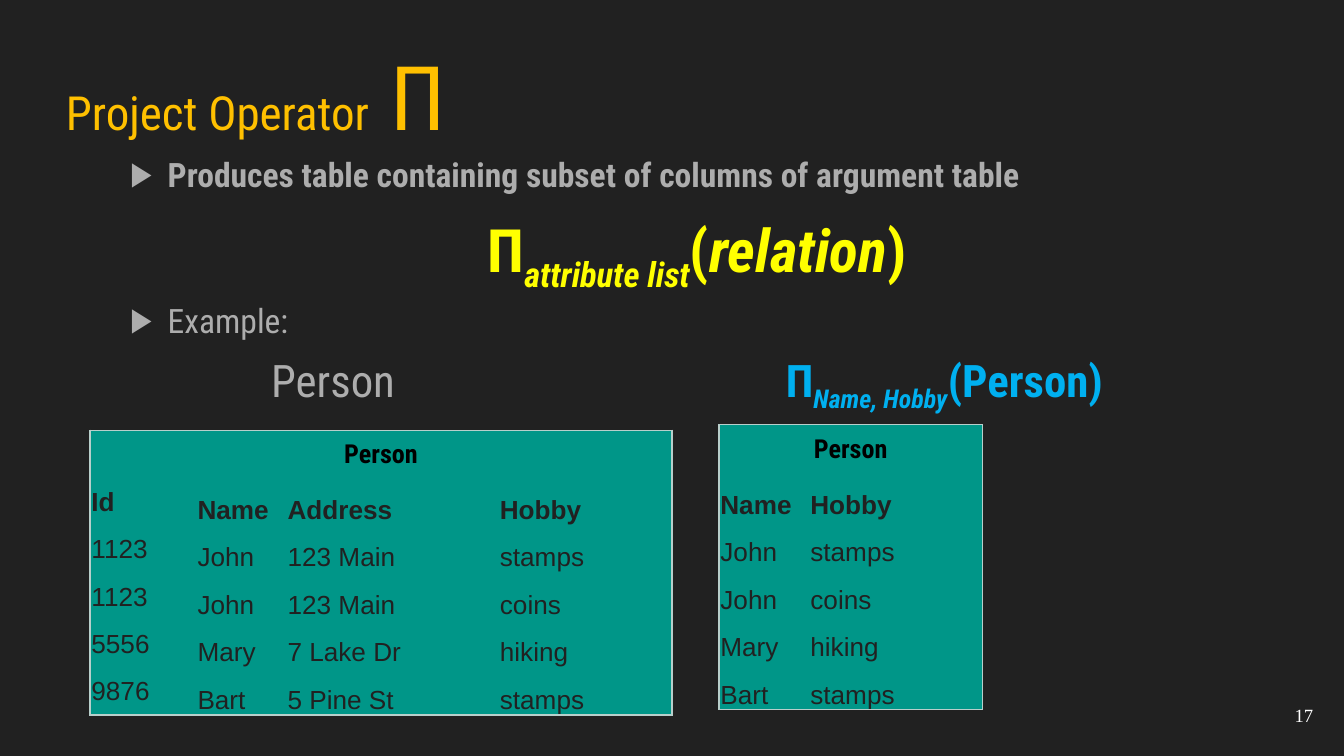
from dataclasses import dataclass

from lxml.etree import SubElement
from pptx import Presentation
from pptx.dml.color import RGBColor
from pptx.enum.text import MSO_ANCHOR, MSO_AUTO_SIZE, PP_ALIGN
from pptx.oxml.ns import qn
from pptx.util import Emu, Inches, Pt

WIDTH = Inches(10)
HEIGHT = Emu(WIDTH * 9 // 16)
HEADING, NUMERAL, CELL = "Roboto Condensed", "Times New Roman", "Arial"
CHARCOAL = RGBColor(0x21, 0x21, 0x21)
GRAY = RGBColor(0xAD, 0xAD, 0xAD)
AMBER = RGBColor(0xFF, 0xC0, 0x00)
YELLOW = RGBColor(0xFF, 0xFF, 0x00)
BLUE = RGBColor(0x00, 0xB0, 0xF0)
TEAL = RGBColor(0x00, 0x96, 0x88)
BORDER = RGBColor(0xB8, 0xCF, 0xCB)
WHITE = RGBColor(0xFF, 0xFF, 0xFF)
BLACK = RGBColor(0x00, 0x00, 0x00)
PLAIN_STYLE = "{2D5ABB26-0587-4C30-8999-92F81FD0307C}"


@dataclass
class Span:
    text: str
    size: float
    color: RGBColor
    bold: bool = False
    italic: bool = False
    subscript: bool = False
    font: str = HEADING


@dataclass
class Line:
    spans: list[Span]
    bullet: bool = False
    indent: float = 0
    tabs: tuple[float, ...] = ()
    spacing: float = 1.15
    before: float = 0


@dataclass
class Relation:
    left: float
    top: float
    columns: tuple[float, ...]
    rows: list[tuple[str, ...]]
    has_key: bool = False


def across(percent: float) -> Emu:
    return Emu(round(WIDTH * percent / 100))


def down(percent: float) -> Emu:
    return Emu(round(HEIGHT * percent / 100))


def add_span(para, item: Span) -> None:
    span = para.add_run()
    span.text = item.text
    font = span.font
    font.name, font.size = item.font, Pt(item.size)
    font.bold, font.italic = item.bold, item.italic
    font.color.rgb = item.color
    if item.subscript:
        span._r.get_or_add_rPr().set("baseline", "-25000")


def prepare_frame(box, anchor: MSO_ANCHOR):
    frame = box.text_frame
    frame.word_wrap = True
    frame.auto_size = MSO_AUTO_SIZE.NONE
    frame.vertical_anchor = anchor
    frame.margin_left = frame.margin_right = Inches(0.1)
    frame.margin_top = frame.margin_bottom = Inches(0.1)
    return frame


def add_line(para, line: Line) -> None:
    """Write a body line; a first-line indent would cancel its tab stops."""
    para.line_spacing = line.spacing
    para.space_before = Pt(line.before)
    properties = para._p.get_or_add_pPr()
    if line.indent:
        properties.set("marL", str(across(line.indent)))
    if line.bullet:
        properties.set("indent", str(across(-2.8)))
        color = SubElement(properties, qn("a:buClr"))
        SubElement(color, qn("a:srgbClr"), val=str(GRAY))
        SubElement(properties, qn("a:buFont"), typeface=HEADING)
        SubElement(properties, qn("a:buChar"), char="▶")
    if line.tabs:
        stops = SubElement(properties, qn("a:tabLst"))
        for tab in line.tabs:
            SubElement(stops, qn("a:tab"), pos=str(across(tab)), algn="l")
    for item in line.spans:
        add_span(para, item)


def projection(attributes: str, argument: str, size: float, color: RGBColor,
               italic: bool = False) -> list[Span]:
    return [
        Span("Π", size, color, bold=True),
        Span(attributes, size, color, bold=True, italic=True, subscript=True),
        Span("(", size, color, bold=True),
        Span(argument, size, color, bold=True, italic=italic),
        Span(")", size, color, bold=True),
    ]


def format_cell(cell, sides: list[str]) -> None:
    """Fill the cell, set its margins and draw a border on the given sides."""
    cell.margin_left = cell.margin_right = cell.margin_top = Inches(0.01)
    cell.margin_bottom = 0
    properties = cell._tc.get_or_add_tcPr()
    for side in sides:
        edge = SubElement(properties, qn(f"a:ln{side}"), w=str(Pt(0.75)))
        fill = SubElement(edge, qn("a:solidFill"))
        SubElement(fill, qn("a:srgbClr"), val=str(BORDER))
    cell.fill.solid()
    cell.fill.fore_color.rgb = TEAL


def add_relation(page, relation: Relation) -> None:
    row_count, column_count = len(relation.rows) + 1, len(relation.columns)
    row_height = down(6.28)
    frame = page.shapes.add_table(
        row_count, column_count, across(relation.left), down(relation.top),
        across(sum(relation.columns)), row_height * row_count)
    table = frame.table
    table.first_row = table.horz_banding = False
    table._tbl.tblPr.find(qn("a:tableStyleId")).text = PLAIN_STYLE
    for column, width in zip(table.columns, relation.columns):
        column.width = across(width)
    for row in table.rows:
        row.height = row_height

    table.cell(0, 0).merge(table.cell(0, column_count - 1))
    for r in range(row_count):
        for c in range(column_count):
            cell = table.cell(r, c)
            outer = {"L": c == 0, "R": c == column_count - 1 or cell.is_merge_origin,
                     "T": r == 0, "B": r == row_count - 1}
            format_cell(cell, [side for side, drawn in outer.items() if drawn])
            if r:
                is_key = relation.has_key and c == 0
                cell.vertical_anchor = MSO_ANCHOR.MIDDLE if is_key else MSO_ANCHOR.BOTTOM
                add_span(cell.text_frame.paragraphs[0],
                         Span(relation.rows[r - 1][c], 14, CHARCOAL, bold=r == 1, font=CELL))

    caption = table.cell(0, 0)
    caption.vertical_anchor = MSO_ANCHOR.MIDDLE
    para = caption.text_frame.paragraphs[0]
    para.alignment = PP_ALIGN.CENTER
    add_span(para, Span("Person", 14, BLACK, bold=True))


LINES = [
    Line([Span("Produces table containing subset of columns of argument table",
               18, GRAY, bold=True)], bullet=True, indent=4),
    Line(projection("attribute list", "relation", 32, YELLOW, italic=True),
         indent=27.8, before=3.2),
    Line([Span("Example:", 18, GRAY)], bullet=True, indent=4),
    Line([Span("\tPerson\t", 24, GRAY), *projection("Name, Hobby", "Person", 24, BLUE)],
         tabs=(11.7, 50), spacing=1.1, before=3.2),
]
PERSON_ROWS = [
    ("Id", "Name", "Address", "Hobby"),
    ("1123", "John", "123 Main", "stamps"),
    ("1123", "John", "123 Main", "coins"),
    ("5556", "Mary", "7 Lake Dr", "hiking"),
    ("9876", "Bart", "5 Pine St", "stamps"),
]
RELATIONS = [
    Relation(6.7, 56.9, (7.9, 6.7, 15.8, 12.9), PERSON_ROWS, has_key=True),
    Relation(53.5, 56.2, (6.7, 12.9), [(row[1], row[3]) for row in PERSON_ROWS]),
]


def main() -> None:
    deck = Presentation()
    deck.slide_width, deck.slide_height = WIDTH, HEIGHT
    page = deck.slides.add_slide(deck.slide_layouts[5])
    page.background.fill.solid()
    page.background.fill.fore_color.rgb = CHARCOAL

    title = page.shapes.title
    title.left, title.top = across(3.9), down(3.7)
    title.width, title.height = across(37.9), down(11)
    para = prepare_frame(title, MSO_ANCHOR.TOP).paragraphs[0]
    para.alignment = PP_ALIGN.LEFT
    add_span(para, Span("Project Operator  ", 25.2, AMBER))
    add_span(para, Span("Π", 47.7, AMBER))

    body = page.shapes.add_textbox(across(7.5), down(17.8), across(85), down(36.8))
    frame = prepare_frame(body, MSO_ANCHOR.TOP)
    for index, line in enumerate(LINES):
        add_line(frame.add_paragraph() if index else frame.paragraphs[0], line)

    for relation in RELATIONS:
        add_relation(page, relation)

    number = page.shapes.add_textbox(across(92.7), down(90.7), across(6), down(7.7))
    para = prepare_frame(number, MSO_ANCHOR.MIDDLE).paragraphs[0]
    para.alignment = PP_ALIGN.RIGHT
    add_span(para, Span("17", 10, WHITE, font=NUMERAL))

    deck.save("out.pptx")


if __name__ == "__main__":
    main()
